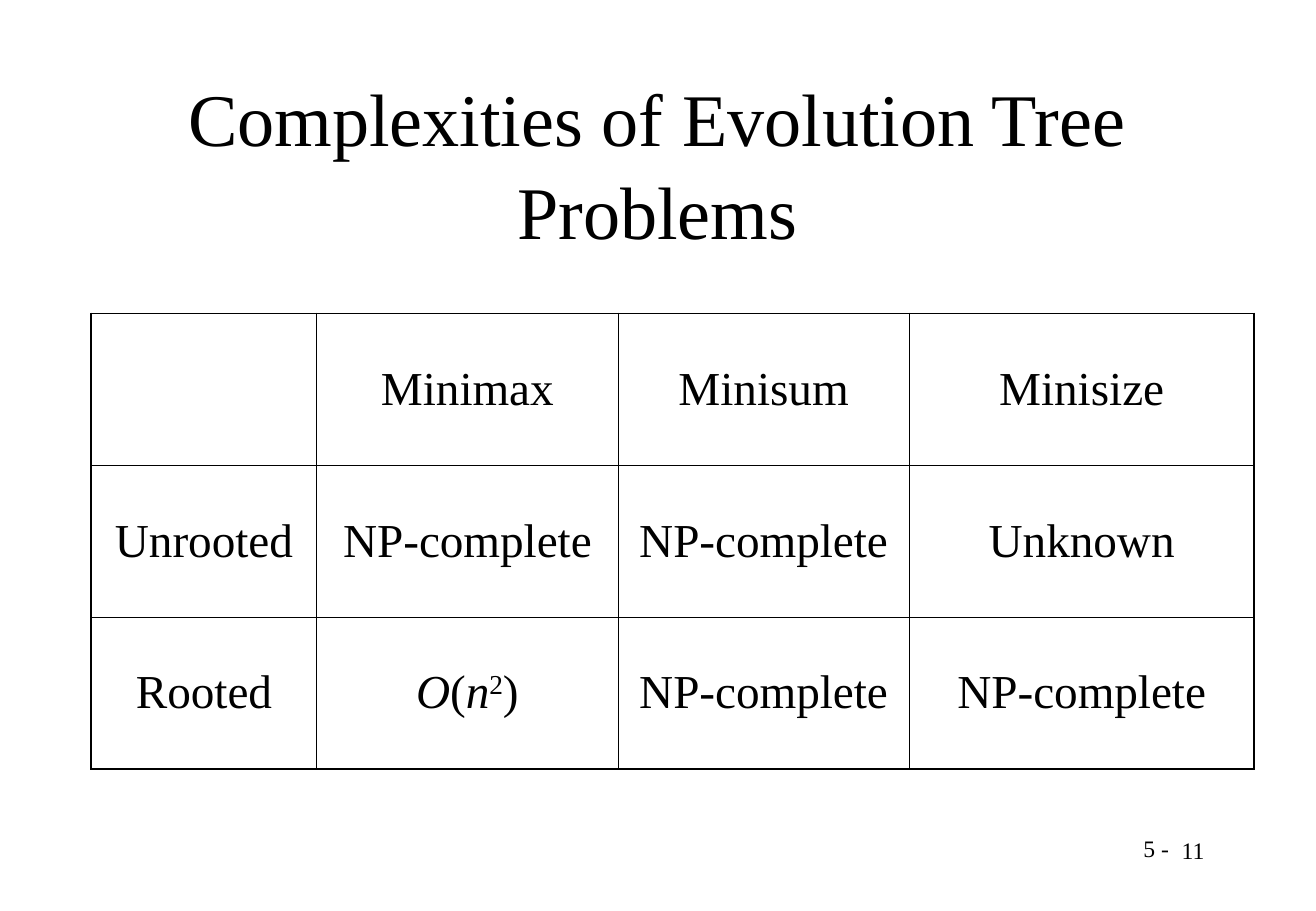
from lxml import etree
from pptx import Presentation
from pptx.dml.color import RGBColor
from pptx.enum.text import MSO_ANCHOR as Anchor, PP_ALIGN as Align
from pptx.oxml.ns import qn
from pptx.util import Inches, Pt

FONT = "Times New Roman"
BLACK = "000000"
THIN, THICK = 0.45, 1.08

TITLE = "Complexities of Evolution Tree Problems"
# Each formula run: text, italic, baseline shift in thousandths of a percent
QUADRATIC = [("O", True, 0), ("(", False, 0), ("n", True, 0),
             ("2", False, 30000), (")", False, 0)]
ROWS = [
    ["", "Minimax", "Minisum", "Minisize"],
    ["Unrooted", "NP-complete", "NP-complete", "Unknown"],
    ["Rooted", QUADRATIC, "NP-complete", "NP-complete"],
]
COLUMN_WIDTHS = [1.86, 2.48, 2.4, 2.84]
ROW_HEIGHT = 1.25
TABLE_LEFT, TABLE_TOP = 0.75, 2.58
PAGE_NUMBER = [
    ("5 -", (7.81, 6.82, 3.43, 0.5), Align.CENTER),
    ("11", (7.76, 6.83, 2.26, 0.5), Align.RIGHT),
]


def color(hex_string):
    return RGBColor.from_string(hex_string)


def write(paragraph, content, size, align):
    """Add plain text or a list of formula runs to a paragraph."""
    paragraph.alignment = align
    runs = [(content, False, 0)] if isinstance(content, str) else content
    for text, italic, baseline in runs:
        run = paragraph.add_run()
        run.text = text
        run.font.name = FONT
        run.font.size = Pt(size)
        run.font.italic = italic
        run.font.color.rgb = color(BLACK)
        if baseline:
            run.font._element.set("baseline", str(baseline))


def add_text(slide, text, box, size, align, anchor=Anchor.TOP):
    frame = slide.shapes.add_textbox(*map(Inches, box)).text_frame
    frame.word_wrap = True
    frame.vertical_anchor = anchor
    write(frame.paragraphs[0], text, size, align)
    return frame


def set_borders(cell, outer_sides):
    """Draw thick lines on the outer sides of a cell and thin ones elsewhere."""
    properties = cell._tc.get_or_add_tcPr()
    for index, side in enumerate(("lnL", "lnR", "lnT", "lnB")):
        width = THICK if side in outer_sides else THIN
        line = etree.Element(qn(f"a:{side}"), w=str(Pt(width)))
        fill = etree.SubElement(line, qn("a:solidFill"))
        etree.SubElement(fill, qn("a:srgbClr"), val=BLACK)
        properties.insert(index, line)


def add_complexity_table(slide):
    row_count, column_count = len(ROWS), len(COLUMN_WIDTHS)
    table = slide.shapes.add_table(
        row_count, column_count, Inches(TABLE_LEFT), Inches(TABLE_TOP),
        Inches(sum(COLUMN_WIDTHS)), Inches(ROW_HEIGHT * row_count)).table
    table.first_row = table.horz_banding = False
    for column, width in zip(table.columns, COLUMN_WIDTHS):
        column.width = Inches(width)
    for row_index, row in enumerate(ROWS):
        table.rows[row_index].height = Inches(ROW_HEIGHT)
        for column_index, content in enumerate(row):
            cell = table.cell(row_index, column_index)
            cell.fill.background()
            cell.vertical_anchor = Anchor.MIDDLE
            edges = {"lnL": column_index == 0, "lnR": column_index == column_count - 1,
                     "lnT": row_index == 0, "lnB": row_index == row_count - 1}
            set_borders(cell, [side for side, outer in edges.items() if outer])
            if content:
                write(cell.text_frame.paragraphs[0], content, 28, Align.CENTER)


def main():
    presentation = Presentation()
    presentation.slide_width = Inches(10.84)
    presentation.slide_height = Inches(7.5)
    slide = presentation.slides.add_slide(presentation.slide_layouts[6])
    title = add_text(slide, TITLE, (0.81, 0.7, 9.21, 1.25), 44,
                     Align.CENTER, Anchor.MIDDLE)
    title.paragraphs[0].line_spacing = 1.05
    add_complexity_table(slide)
    for text, box, align in PAGE_NUMBER:
        add_text(slide, text, box, 14, align)
    presentation.save("out.pptx")


if __name__ == "__main__":
    main()
